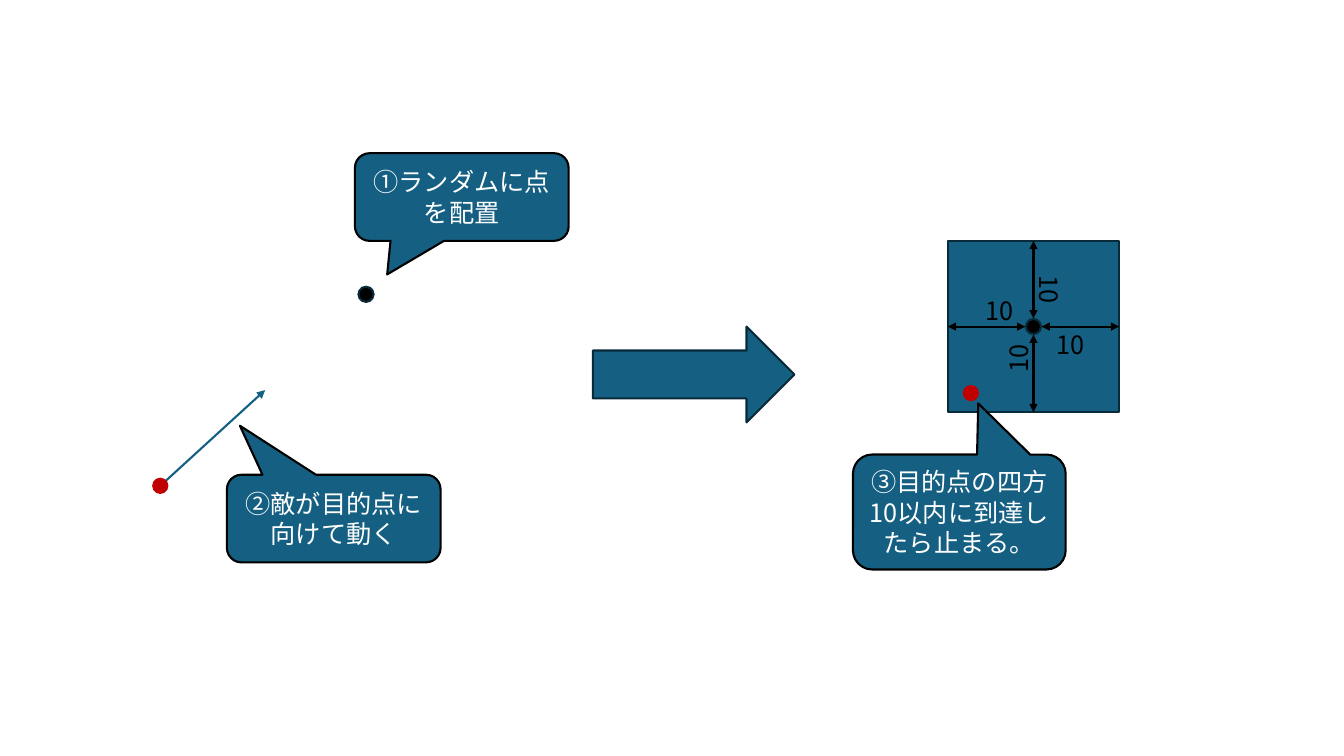
from lxml.etree import SubElement as Sub
from pptx import Presentation
from pptx.dml.color import RGBColor
from pptx.enum.shapes import MSO_CONNECTOR as Link, MSO_SHAPE as Form
from pptx.enum.text import MSO_ANCHOR as Anchor, MSO_AUTO_SIZE as Fit, PP_ALIGN as Align
from pptx.oxml.ns import qn
from pptx.util import Inches, Pt

BLUE = RGBColor(0x15, 0x60, 0x82)
NAVY = RGBColor(0x09, 0x2A, 0x39)
BLACK = RGBColor(0, 0, 0)
WHITE = RGBColor(0xFF, 0xFF, 0xFF)
RED = RGBColor(0xC0, 0, 0)


class Board:
    font = "Noto Sans CJK JP"
    size = Pt(18)
    edge = Pt(1.5)

    def __init__(self, slide):
        self.slide = slide
        self.items = slide.shapes

    def group(self):
        self.items = self.slide.shapes.add_group_shape().shapes

    def ungroup(self):
        self.items = self.slide.shapes

    def shape(self, form, box, fill=BLUE, line=NAVY):
        item = self.items.add_shape(form, *map(Inches, box))
        item.shadow.inherit = False
        item.fill.solid()
        item.fill.fore_color.rgb = fill
        item.line.color.rgb = line
        item.line.width = self.edge
        return item

    def dot(self, x, y, size, fill, line):
        box = (x - size / 2, y - size / 2, size, size)
        return self.shape(Form.OVAL, box, fill, line)

    def target(self, x, y):
        return self.dot(x, y, 0.15, BLACK, NAVY)

    def enemy(self, x, y):
        return self.dot(x, y, 0.14, RED, RED)

    def add_text(self, para, text, color):
        run = para.add_run()
        run.text = text
        run.font.size = self.size
        run.font.color.rgb = color
        run.font.name = self.font
        Sub(run.font._element, qn("a:ea"), typeface=self.font)

    def callout(self, box, tip, text):
        item = self.shape(Form.ROUNDED_RECTANGULAR_CALLOUT, box, line=BLACK)
        for index, value in enumerate((*tip, 0.167)):
            item.adjustments[index] = value
        frame = item.text_frame
        frame.word_wrap = True
        frame.vertical_anchor = Anchor.MIDDLE
        para = frame.paragraphs[0]
        para.alignment = Align.CENTER
        self.add_text(para, text, WHITE)

    def label(self, x, y, text, turn):
        item = self.items.add_textbox(*map(Inches, (x, y, 0.49, 0.4)))
        item.rotation = turn
        frame = item.text_frame
        frame.word_wrap = True
        frame.auto_size = Fit.SHAPE_TO_FIT_TEXT
        self.add_text(frame.paragraphs[0], text, BLACK)

    def arrow(self, start, end, color, heads):
        item = self.items.add_connector(Link.STRAIGHT, *map(Inches, (*start, *end)))
        item.line.color.rgb = color
        item.line.width = self.edge
        for head in heads:
            Sub(item.line._get_or_add_ln(), qn(head), type="triangle")
        Sub(item._element.spPr, qn("a:effectLst"))
        return item


def main():
    deck = Presentation()
    deck.slide_width = Inches(13.33)
    deck.slide_height = Inches(7.5)
    board = Board(deck.slides.add_slide(deck.slide_layouts[6]))

    board.target(3.63, 2.92)
    board.callout((3.52, 1.52, 2.12, 0.87), (-0.349, 0.882), "①ランダムに点を配置")
    board.arrow((1.59, 4.82), (2.63, 3.87), BLUE, ["a:tailEnd"])
    board.enemy(1.59, 4.82)
    board.callout((2.25, 4.71, 2.12, 0.87), (-0.439, -1.059), "➁敵が目的点に向けて動く")

    mid_x, mid_y, reach, gap = 10.25, 3.24, 0.85, 0.08
    board.group()
    zone = board.shape(Form.RECTANGLE, (mid_x - reach, mid_y - reach, 2 * reach, 2 * reach))
    board.target(mid_x, mid_y)
    for side, (dx, dy) in enumerate([(0, -1), (-1, 0), (0, 1), (1, 0)]):
        rim = (mid_x + dx * reach, mid_y + dy * reach)
        core = (mid_x + dx * gap, mid_y + dy * gap)
        ray = board.arrow(rim, core, BLACK, ["a:headEnd", "a:tailEnd"])
        ray.begin_connect(zone, side)
    for x, y, turn in [(9.68, 2.88, 0), (10.38, 3.22, 0), (9.86, 3.35, 270), (10.16, 2.68, 90)]:
        board.label(x, y, "10", turn)
    board.ungroup()

    board.enemy(9.63, 3.9)
    board.callout((8.46, 4.51, 2.11, 1.14), (0.089, -0.945), "③目的点の四方10以内に到達したら止まる。")
    board.shape(Form.RIGHT_ARROW, (5.88, 3.24, 2, 0.95))
    deck.save("out.pptx")


if __name__ == "__main__":
    main()
